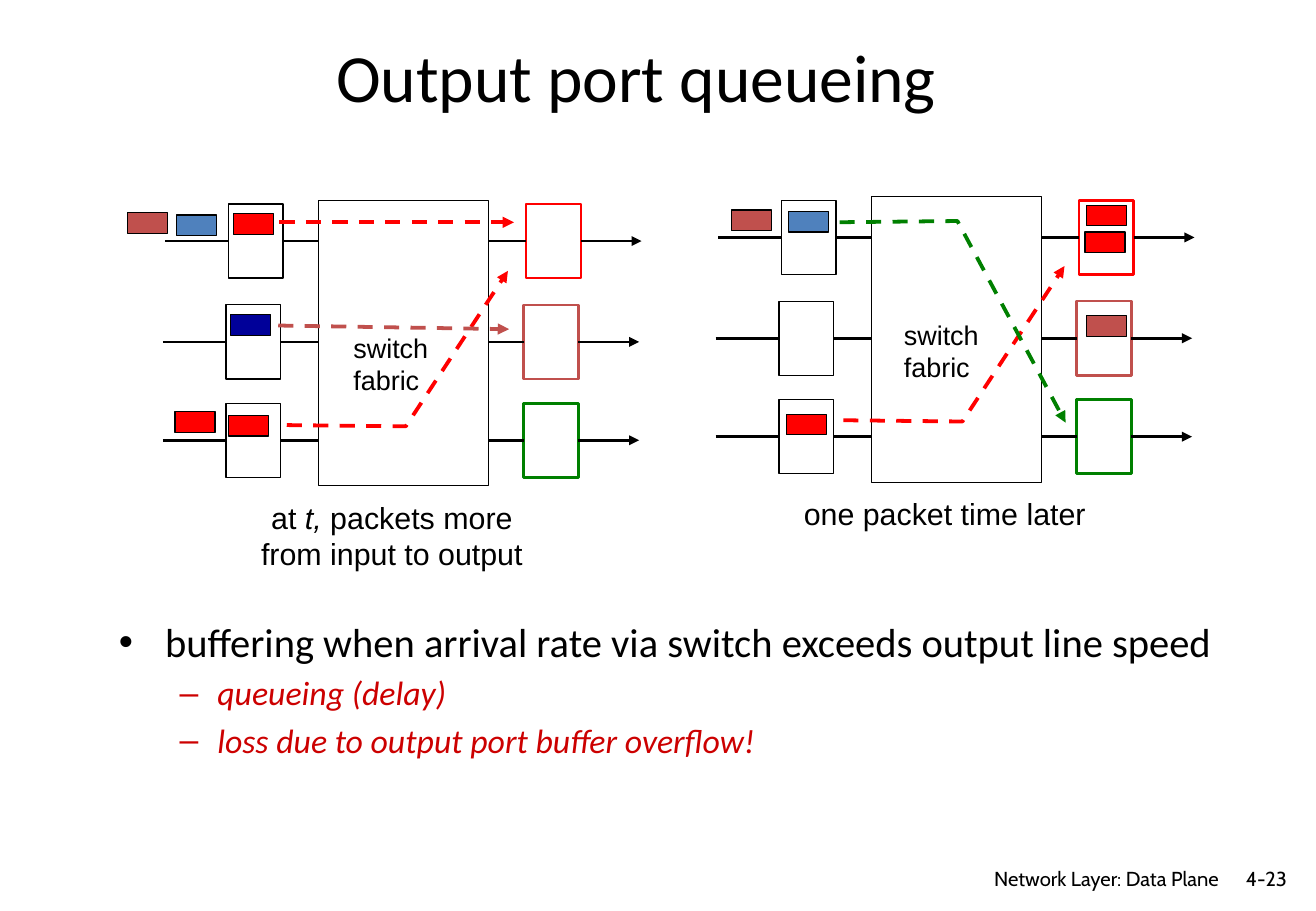
"""Build the 'Output port queueing' slide: two switch states and a summary."""
from pptx import Presentation
from pptx import util as u
from pptx.dml.color import RGBColor
from pptx.enum import dml, shapes, text
from pptx.oxml.ns import qn
from lxml import etree

COLORS = {"black": "000000", "white": "FFFFFF", "red": "FF0000", "brick": "C0504D",
          "green": "008000", "blue": "4F81BD", "navy": "000099", "crimson": "CC0000"}
SLIDE_W, SLIDE_H = 10.83, 7.5
TITLE = "Output port queueing"
BULLETS = [
    (0, "buffering when arrival rate via switch exceeds output line speed"),
    (1, "queueing (delay)"),
    (1, "loss due to output port buffer overflow!"),
]
LEVELS = [("•", 0.38, -0.38, 24, "black", False),
          ("–", 0.81, -0.31, 20, "crimson", True)]
FOOTERS = [("Network Layer: Data Plane", (7.55, 7.08, 2.58, 0.26)),
           ("4-23", (10.02, 7.08, 0.67, 0.26))]

FABRIC_W, FABRIC_H = 1.4, 2.35
PORT_W, PORT_H = 0.45, 0.61
PACKET_W, PACKET_H = 0.33, 0.17
INPUT_X, OUTPUT_X, LINK = -0.74, 1.71, 0.52
PORT_ROWS = [(0, 0.03, "red"), (-0.02, 0.86, "brick"), (-0.02, 1.67, "green")]

PANELS = [
    {"origin": (2.62, 1.65),
     "label": (0.19, 1.03),
     "caption": [[("at ", False), ("t,", True), (" packets more", False)],
                 [("from input to output", False)]],
     "packets": [(-0.7, 0.11, "red"), (-0.72, 0.94, "navy"), (-0.74, 1.77, "red"),
                 (-1.17, 0.12, "blue"), (-1.18, 1.74, "red"), (-1.57, 0.1, "brick")],
     "flows": [("red", [(-0.32, 0.18), (1.61, 0.18)]),
               ("red", [(-0.26, 1.85), (0.72, 1.86), (1.56, 0.58)]),
               ("brick", [(-0.33, 1.03), (1.57, 1.06)])]},
    {"origin": (7.17, 1.62),
     "label": (0.17, 0.95),
     "caption": [[("one packet time later", False)]],
     "packets": [(1.77, 0.07, "red"), (1.77, 0.98, "brick"), (1.76, 0.29, "red"),
                 (-0.68, 0.12, "blue"), (-0.7, 1.79, "red"), (-1.15, 0.11, "brick")],
     "flows": [("red", [(-0.23, 1.84), (0.75, 1.85), (1.59, 0.57)]),
               ("green", [(-0.26, 0.21), (0.71, 0.2), (1.6, 1.86)])]},
]


def rgb(name):
    return RGBColor.from_string(COLORS[name])


def style_line(sp, color, width, dashed=False, arrow=False):
    sp.line.color.rgb = rgb(color)
    sp.line.width = u.Pt(width)
    if dashed:
        sp.line.dash_style = dml.MSO_LINE.DASH
    if arrow:
        etree.SubElement(sp.line._get_or_add_ln(), qn("a:tailEnd"), type="triangle")


def add_box(s, x, y, w, h, fill="white", line="black", width=0.75):
    sp = s.shapes.add_shape(shapes.MSO_SHAPE.RECTANGLE, *map(u.Inches, (x, y, w, h)))
    sp.shadow.inherit = False
    sp.fill.solid()
    sp.fill.fore_color.rgb = rgb(fill)
    style_line(sp, line, width)
    return sp


def add_line(s, start, end, color="black", width=1.5, dashed=False, arrow=False):
    c = s.shapes.add_connector(shapes.MSO_CONNECTOR.STRAIGHT,
                               *map(u.Inches, (*start, *end)))
    style_line(c, color, width, dashed, arrow)
    etree.SubElement(c._element.spPr, qn("a:effectLst"))
    return c


def add_flow(s, color, points):
    if len(points) == 2:
        add_line(s, *points, color, 2.25, True, True)
        return
    pts = [tuple(map(u.Inches, pt)) for pt in points]
    builder = s.shapes.build_freeform(*pts[0])
    builder.add_line_segments(pts[1:], close=False)
    sp = builder.convert_to_shape()
    sp.shadow.inherit = False
    sp.fill.background()
    style_line(sp, color, 2.25, True, True)


def format_run(r, font, size, color="black", italic=False):
    r.font.name, r.font.size, r.font.italic = font, u.Pt(size), italic
    r.font.color.rgb = rgb(color)


def add_text(s, box, lines, font, size, align, wrap=True):
    tf = s.shapes.add_textbox(*map(u.Inches, box)).text_frame
    tf.word_wrap = wrap
    for i, runs in enumerate(lines):
        p = tf.add_paragraph() if i else tf.paragraphs[0]
        p.alignment = align
        for words, italic in runs:
            r = p.add_run()
            r.text = words
            format_run(r, font, size, italic=italic)
    return tf


def add_ports(s, x, y):
    for dx, dy, color in PORT_ROWS:
        top, mid = y + dy, y + dy + PORT_H / 2
        in_x, out_x = x + dx + INPUT_X, x + dx + OUTPUT_X
        inp = add_box(s, in_x, top, PORT_W, PORT_H)
        out = add_box(s, out_x, top, PORT_W, PORT_H, line=color, width=1.5)
        lead = add_line(s, (in_x - LINK, mid), (in_x, mid))
        lead.end_connect(inp, 1)
        feed = add_line(s, (in_x + PORT_W, mid), (x, mid))
        feed.begin_connect(inp, 3)
        drain = add_line(s, (x + FABRIC_W, mid), (out_x, mid))
        drain.end_connect(out, 1)
        link = add_line(s, (out_x + PORT_W, mid), (out_x + PORT_W + LINK - 0.02, mid),
                        arrow=True)
        link.begin_connect(out, 3)


def add_panel(s, panel):
    x, y = panel["origin"]
    add_box(s, x, y, FABRIC_W, FABRIC_H)
    add_ports(s, x, y)
    for dx, dy, color in panel["packets"]:
        add_box(s, x + dx, y + dy, PACKET_W, PACKET_H, fill=color)
    dx, dy = panel["label"]
    add_text(s, (x + dx, y + dy, 0.82, 0.64), [[("switch", False)], [("fabric", False)]],
             "Arial", 16, text.PP_ALIGN.LEFT, wrap=False)
    lines = panel["caption"]
    add_text(s, (x - 0.85, y + 2.41, 2.91, 0.1 + 0.3 * len(lines)), lines,
             "Arial", 18, text.PP_ALIGN.CENTER)
    for color, points in panel["flows"]:
        add_flow(s, color, [(x + px, y + py) for px, py in points])


def add_bullets(s):
    lines = [[(words, LEVELS[level][5])] for level, words in BULLETS]
    tf = add_text(s, (0.88, 5.03, 9.21, 1.3), lines, "Calibri", 24, text.PP_ALIGN.LEFT)
    for p, (level, _) in zip(tf.paragraphs, BULLETS):
        mark, margin, indent, size, color, italic = LEVELS[level]
        p.level = level
        p.space_before = u.Pt(size * 0.2)
        format_run(p.runs[0], "Calibri", size, color, italic)
        pPr = p._p.get_or_add_pPr()
        pPr.set("marL", str(u.Inches(margin)))
        pPr.set("indent", str(u.Inches(indent)))
        etree.SubElement(pPr, qn("a:buFont"), typeface="Arial")
        etree.SubElement(pPr, qn("a:buChar"), char=mark)


def main():
    prs = Presentation()
    prs.slide_width, prs.slide_height = u.Inches(SLIDE_W), u.Inches(SLIDE_H)
    s = prs.slides.add_slide(prs.slide_layouts[5])
    title = s.shapes.title
    title.left, title.top, title.width, title.height = map(u.Inches, (0.63, 0.22, 9.21, 0.8))
    tf = title.text_frame
    tf.text = TITLE
    tf.vertical_anchor = text.MSO_ANCHOR.MIDDLE
    tf.paragraphs[0].alignment = text.PP_ALIGN.CENTER
    format_run(tf.paragraphs[0].runs[0], "Calibri", 40)
    for panel in PANELS:
        add_panel(s, panel)
    add_bullets(s)
    for words, box in FOOTERS:
        add_text(s, box, [[(words, False)]], "Cabin", 12, text.PP_ALIGN.RIGHT)
    prs.save("out.pptx")


if __name__ == "__main__":
    main()
